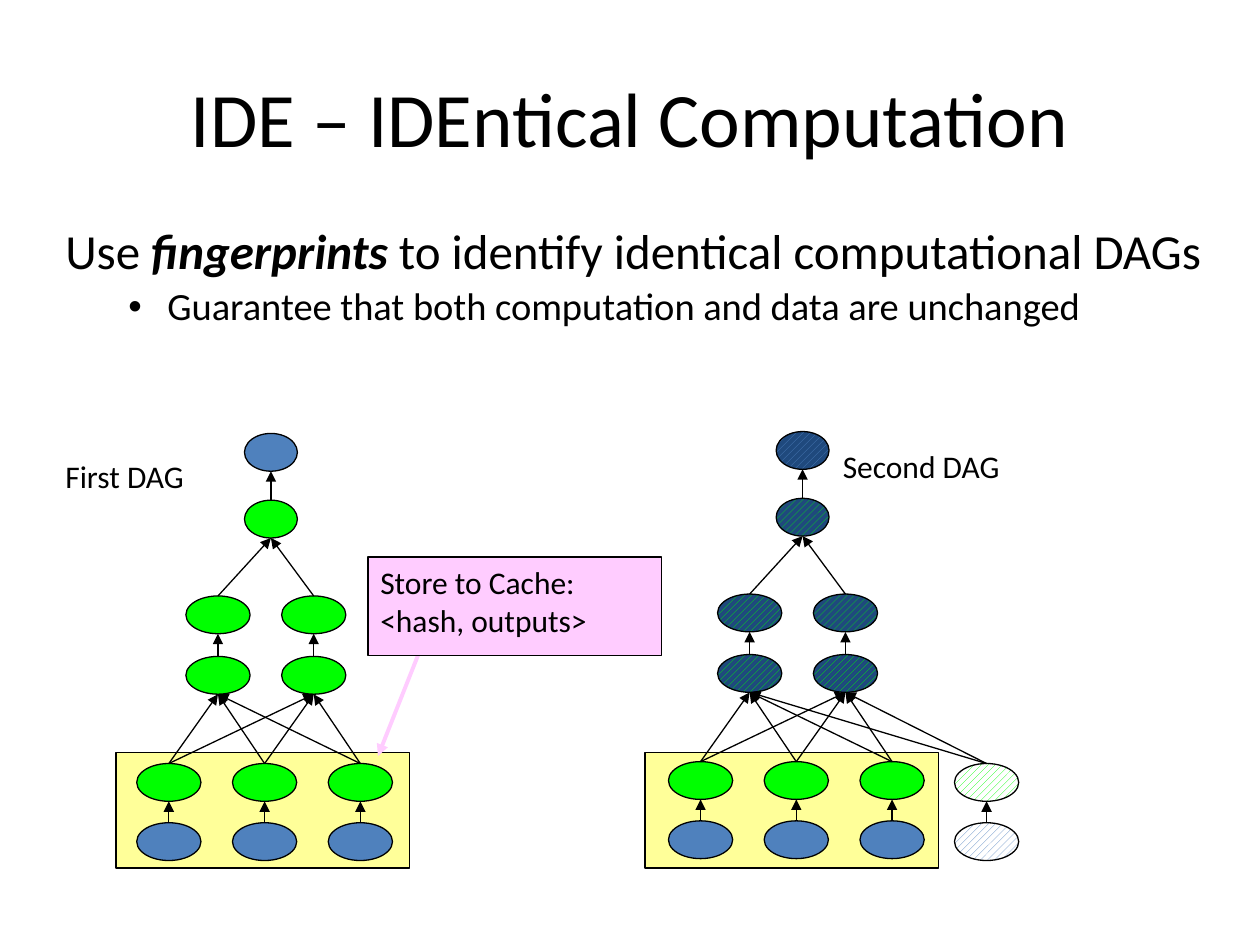
"""Build the slide on identical computation: two DAGs sharing cached work."""
from lxml.etree import SubElement
from pptx import Presentation
from pptx.dml.color import RGBColor
from pptx.enum.dml import MSO_PATTERN
from pptx.enum.shapes import MSO_CONNECTOR, MSO_SHAPE
from pptx.enum.text import MSO_ANCHOR, PP_ALIGN
from pptx.oxml.ns import qn
from pptx.util import Inches, Pt

COLORS = {"black": "000000", "white": "FFFFFF", "yellow": "FFFF99", "pink": "FFCCFF",
          "blue": "4F81BD", "green": "00FF00", "navy": "1F497D"}

TITLE = "IDE – IDEntical Computation"
BODY = [
    dict(runs=[("Use ", {}), ("fingerprints", dict(bold=True, italic=True)),
               (" to identify identical computational DAGs", {})],
         size=28, indent=(0.38, -0.38), bullet=None),
    dict(runs=[("Guarantee that both computation and data are unchanged", {})],
         size=22, indent=(0.81, -0.31), bullet="•"),
]
LABELS = [("First DAG", (0.42, 3.58, 1.42, 0.43)), ("Second DAG", (6.59, 3.5, 1.82, 0.43))]
CACHE = ("Store to Cache: <hash, outputs>", (2.92, 4.42, 2.33, 0.78))
CACHE_ARROW = ((3.33, 5.17), (3, 6))
SHARED_BOXES = [(5.12, 5.97, 2.33, 0.92), (0.92, 5.97, 2.33, 0.92)]

NODE_W, TOP_W, NODE_H = 0.51, 0.42, 0.3
ROWS = dict(input=6.53, read=6.06, join=5.21, work=4.73, merge=3.97, output=3.44)
LEAF_XS = [1.34, 2.1, 2.86]
MID_XS = [1.73, 2.49]
ROOT_X = 2.15
EXTRA_X = 7.83
DAGS = [dict(dx=0, dy=0, back=None, extra=[]),
        dict(dx=4.22, dy=-0.015, back="navy", extra=[EXTRA_X])]

prs = Presentation()
prs.slide_width, prs.slide_height = Inches(10), Inches(7.5)
s = prs.slides.add_slide(prs.slide_layouts[6])


def rgb(name):
    return RGBColor.from_string(COLORS[name])


def add_run(p, text, size, **fmt):
    r = p.add_run()
    r.text = text
    for key, value in dict(name="Calibri", size=Pt(size), **fmt).items():
        setattr(r.font, key, value)
    r.font.color.rgb = rgb("black")


def add_text(box, wrap=True):
    tf = s.shapes.add_textbox(*map(Inches, box)).text_frame
    tf.word_wrap = wrap
    return tf


def add_shape(kind, box, color, back=None):
    sp = s.shapes.add_shape(kind, *map(Inches, box))
    sp.shadow.inherit = False
    if back:
        sp.fill.patterned()
        sp.fill.pattern = MSO_PATTERN.WIDE_UPWARD_DIAGONAL
        sp.fill.fore_color.rgb, sp.fill.back_color.rgb = rgb(color), rgb(back)
    else:
        sp.fill.solid()
        sp.fill.fore_color.rgb = rgb(color)
    sp.line.color.rgb = rgb("black")
    sp.line.width = Pt(0.75)
    return sp


def add_arrow(start, end, color="black", width=0.75):
    cx = s.shapes.add_connector(MSO_CONNECTOR.STRAIGHT, *map(Inches, (*start, *end)))
    cx.line.color.rgb = rgb(color)
    cx.line.width = Pt(width)
    SubElement(cx.line._get_or_add_ln(), qn("a:tailEnd"), type="triangle")
    SubElement(cx._element.spPr, qn("a:effectLst"))


def add_node(x, y, color, back=None, w=NODE_W):
    add_shape(MSO_SHAPE.OVAL, (x - w / 2, y, w, NODE_H), color, back)


def link(x1, y1, x2, y2):
    add_arrow((x1, y1), (x2, y2 + NODE_H))


def add_leaf(x, dy, back=None):
    add_node(x, ROWS["input"] + dy, "blue", back)
    add_node(x, ROWS["read"] + dy, "green", back)
    link(x, ROWS["input"] + dy, x, ROWS["read"] + dy)


def add_dag(dx, dy, back, extra):
    y = {row: top + dy for row, top in ROWS.items()}
    leaves = [x + dx for x in LEAF_XS]
    mids = [x + dx for x in MID_XS]
    root = ROOT_X + dx
    for x in leaves:
        add_leaf(x, dy)
    for x in extra:
        add_leaf(x, 0, "white")
    for x in mids:
        add_node(x, y["join"], "green", back)
        add_node(x, y["work"], "green", back)
    add_node(root, y["merge"], "green", back, TOP_W)
    add_node(root, y["output"], "blue", back, TOP_W)
    for mid in mids:
        for x in leaves:
            link(x, y["read"], mid, y["join"])
        for x in extra:
            link(x, ROWS["read"], mid, y["join"])
        link(mid, y["join"], mid, y["work"])
        link(mid, y["work"], root, y["merge"])
    link(root, y["merge"], root, y["output"])


for box in SHARED_BOXES:
    add_shape(MSO_SHAPE.RECTANGLE, box, "yellow")

tf = add_text((0.42, 1.75, 9.25, 1))
for i, item in enumerate(BODY):
    p = tf.add_paragraph() if i else tf.paragraphs[0]
    p.line_spacing = 0.9
    p.space_before = Pt(item["size"] * 0.2)
    left, first = item["indent"]
    pPr = p._p.get_or_add_pPr()
    pPr.set("marL", str(Inches(left)))
    pPr.set("indent", str(Inches(first)))
    if item["bullet"]:
        SubElement(pPr, qn("a:buFont"), typeface="Arial")
        SubElement(pPr, qn("a:buChar"), char=item["bullet"])
    for text, fmt in item["runs"]:
        add_run(p, text, item["size"], **fmt)

for dag in DAGS:
    add_dag(**dag)

for text, box in LABELS:
    add_run(add_text(box, wrap=False).paragraphs[0], text, 18)

add_arrow(*CACHE_ARROW, color="pink", width=2.25)
text, box = CACHE
tf = add_shape(MSO_SHAPE.RECTANGLE, box, "pink").text_frame
tf.word_wrap = True
tf.vertical_anchor = MSO_ANCHOR.TOP
p = tf.paragraphs[0]
p.alignment = PP_ALIGN.LEFT
p.space_before = Pt(9)
add_run(p, text, 18)

tf = add_text((0.5, 0.3, 9, 1.25))
tf.vertical_anchor = MSO_ANCHOR.MIDDLE
tf.paragraphs[0].alignment = PP_ALIGN.CENTER
add_run(tf.paragraphs[0], TITLE, 44)

prs.save("out.pptx")
